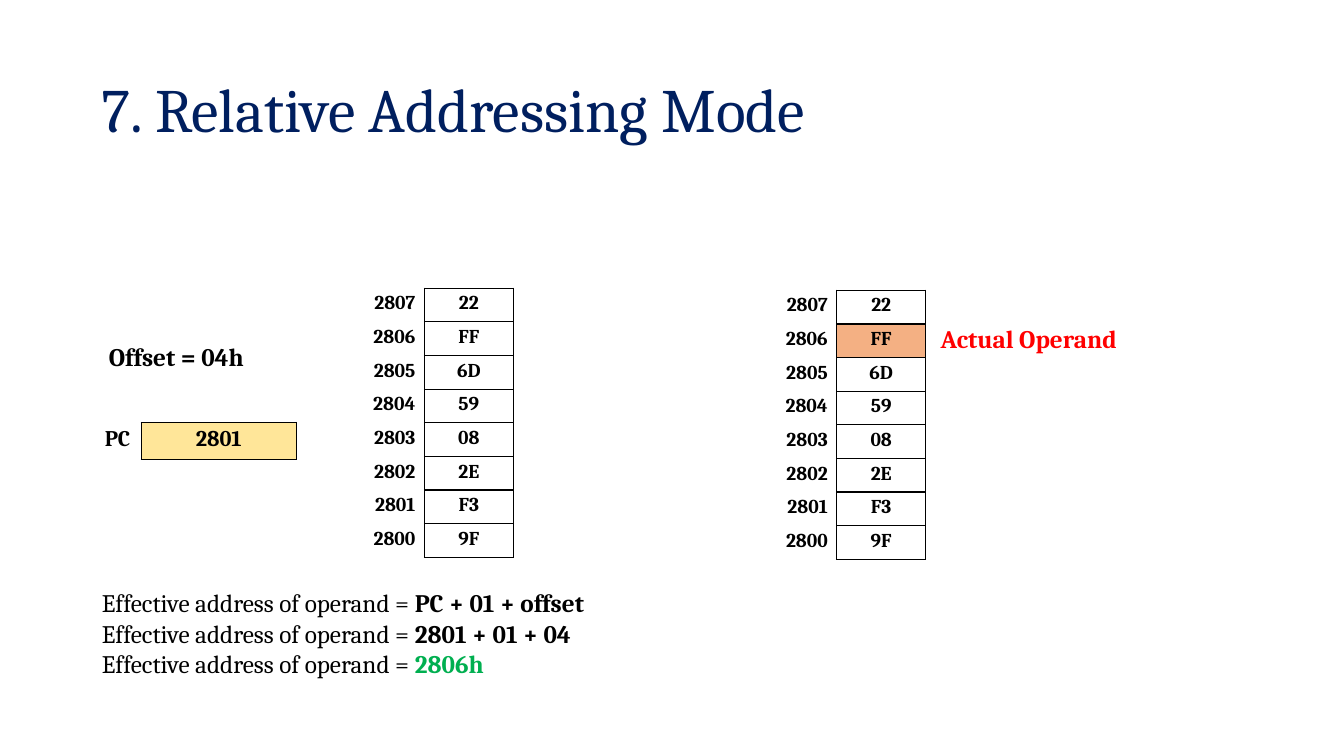
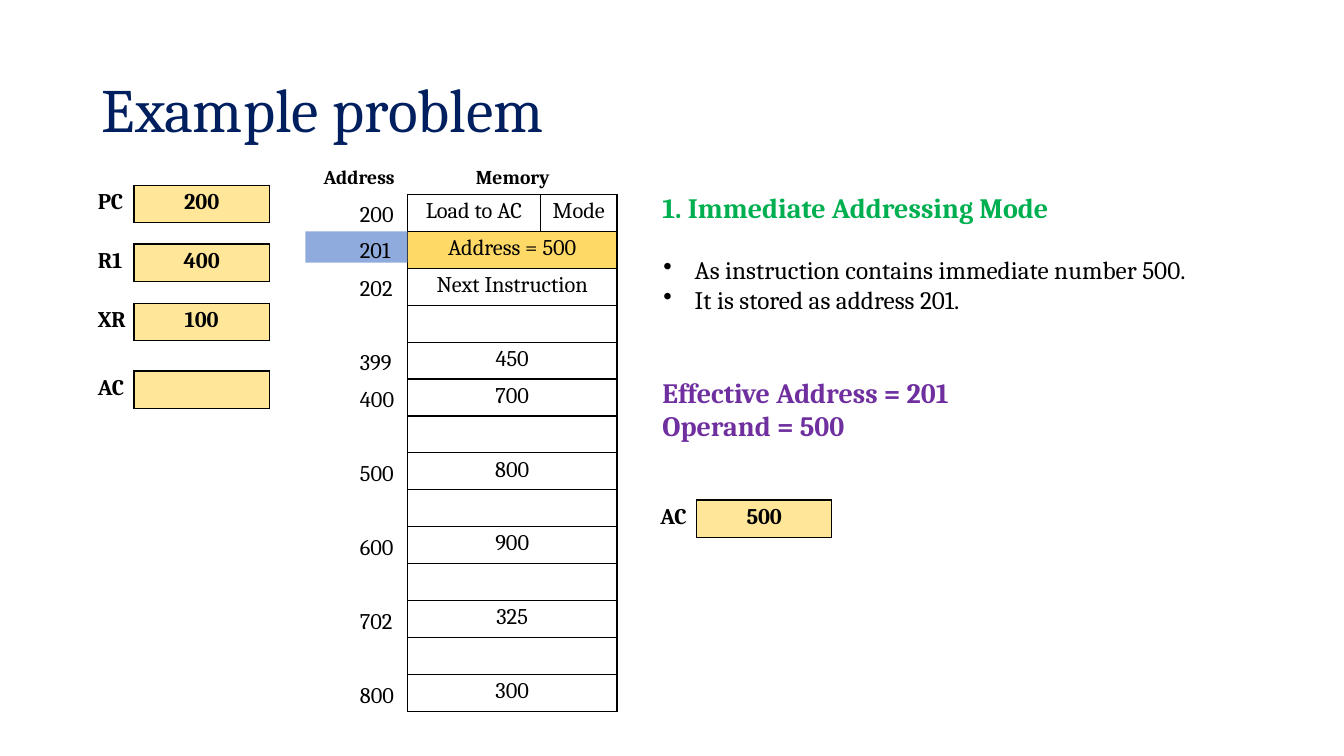
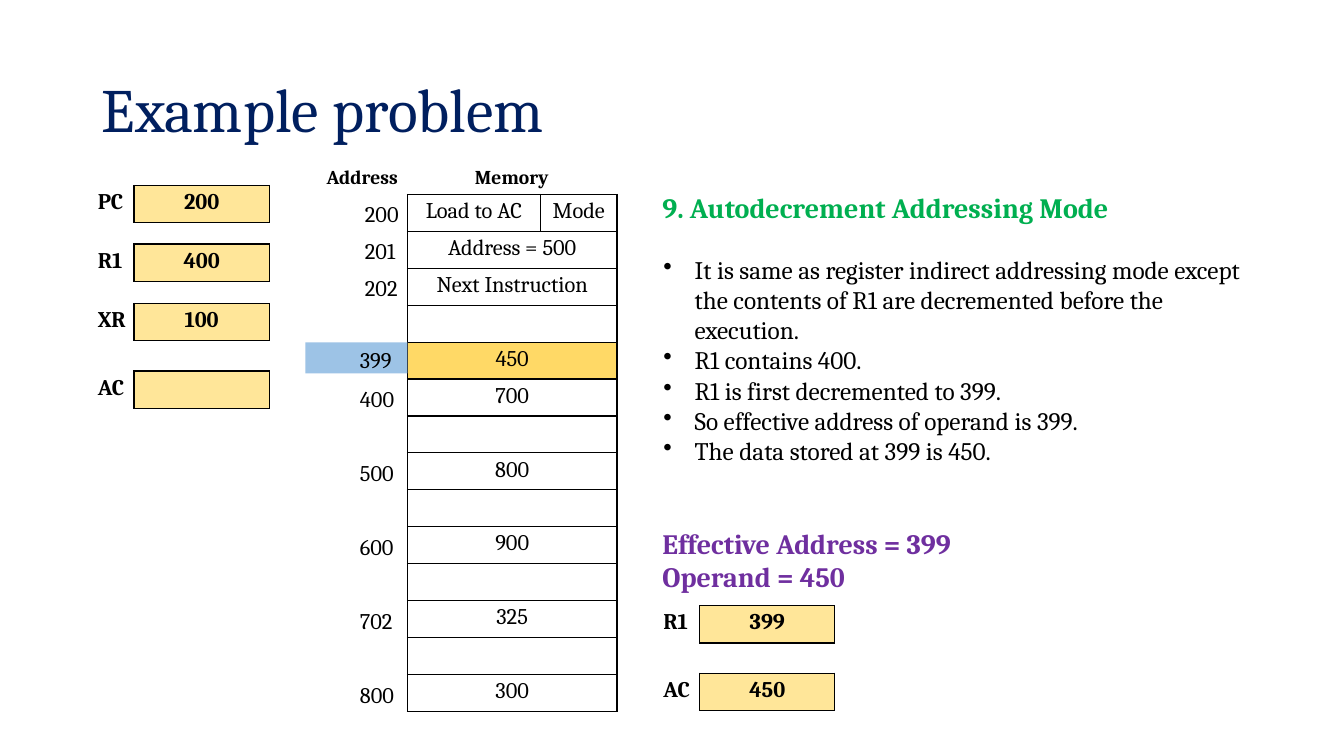
from pptx import Presentation
from pptx.dml.color import RGBColor
from pptx.enum.shapes import MSO_SHAPE
from pptx.enum.text import PP_ALIGN
from pptx.oxml.ns import qn
from pptx.util import Inches, Pt
from lxml import etree

RECT = MSO_SHAPE.RECTANGLE
LEFT, CENTER, RIGHT = PP_ALIGN.LEFT, PP_ALIGN.CENTER, PP_ALIGN.RIGHT

FONT = "Cambria"
COLORS = {
    "title": "001F5F",
    "text": "000000",
    "green": "00AF50",
    "purple": "6F2F9F",
    "red": "FF0000",
    "register": "FFE699",
    "operand": "F4B083",
    "memory": "FFD966",
    "blue": "8FAADC",
    "sky": "9DC3E6",
}

WORDS = [("2807", "22"), ("2806", "FF"), ("2805", "6D"), ("2804", "59"),
         ("2803", "08"), ("2802", "2E"), ("2801", "F3"), ("2800", "9F")]
WORD_TABLES = [(3.51, 2.86, None), (7.6, 2.88, "2806")]

FORMULA = "Effective address of operand = "
RESULTS = [("PC + 01 + offset", "text"), ("2801 + 01 + 04", "text"), ("2806h", "green")]

REGISTERS = [("PC", "200", 1.84), ("R1", "400", 2.42), ("XR", "100", 3.01), ("AC", "", 3.68)]

MEMORY = [("200", "Load to AC"), ("201", "Address = 500"), ("202", "Next Instruction"),
          ("", ""), ("399", "450"), ("400", "700"), ("", ""), ("500", "800"), ("", ""),
          ("600", "900"), ("", ""), ("702", "325"), ("", ""), ("800", "300")]
MEMORY_LEFT, MEMORY_TOP, MEMORY_HEIGHT = 4.04, 1.93, 5.13
ROW_HEIGHT = MEMORY_HEIGHT / len(MEMORY)
LABEL_LEFT, LABEL_INDENT = 3.03, 0.54

EXAMPLES = [
    {
        "mode": "1. Immediate Addressing Mode",
        "points": ["As instruction contains immediate number 500.",
                   "It is stored as address 201."],
        "answer": ["Effective Address = 201", "Operand = 500"],
        "answer_top": 3.72,
        "results": [("AC", "500", 6.41, 4.96)],
        "active": "201",
        "mark": "blue",
        "heads": (3.21, 4.72),
        "shifted": [],
    },
    {
        "mode": "9. Autodecrement Addressing Mode",
        "points": ["It is same as register indirect addressing mode except the contents "
                   "of R1 are decremented before the execution.",
                   "R1 contains 400.",
                   "R1 is first decremented to 399.",
                   "So effective address of operand is 399.",
                   "The data stored at 399 is 450."],
        "answer": ["Effective Address = 399", "Operand = 450"],
        "answer_top": 5.22,
        "results": [("R1", "399", 6.44, 6.01), ("AC", "450", 6.44, 6.68)],
        "active": "399",
        "mark": "sky",
        "heads": (3.24, 4.71),
        "shifted": ["200", "201", "202"],
    },
]


def rgb(name):
    return RGBColor.from_string(COLORS[name])


def style(font, size, color="text", bold=False):
    font.name, font.size, font.bold = FONT, Pt(size), bold
    font.color.rgb = rgb(color)


def add_bullet(p):
    pPr = p._p.get_or_add_pPr()
    pPr.set("marL", str(Inches(0.32)))
    pPr.set("indent", str(-Inches(0.31)))
    bullet = etree.Element(qn("a:buChar"), char="•")
    pPr.insert(0, bullet)


def set_margins(obj, left=0, top=0, right=0):
    obj.margin_left, obj.margin_top = Inches(left), Inches(top)
    obj.margin_right, obj.margin_bottom = Inches(right), 0


def add_text(s, left, top, width, height, paragraphs, size,
             color="text", bold=False, bullets=False):
    sp = s.shapes.add_textbox(Inches(left), Inches(top), Inches(width), Inches(height))
    tf = sp.text_frame
    tf.word_wrap = True
    set_margins(tf)
    for i, runs in enumerate(paragraphs):
        p = tf.add_paragraph() if i else tf.paragraphs[0]
        if bullets:
            add_bullet(p)
        style(p.font, size, color, bold)
        if isinstance(runs, str):
            p.add_run().text = runs
            continue
        for text, run_color, run_bold in runs:
            r = p.add_run()
            r.text = text
            style(r.font, size, run_color, run_bold)


def add_grid(s, left, top, widths, row_height, rows):
    frame = s.shapes.add_table(rows, len(widths), Inches(left), Inches(top),
                               Inches(sum(widths)), Inches(row_height * rows))
    table = frame.table
    table.first_row = table.horz_banding = False
    for column, width in zip(table.columns, widths):
        column.width = Inches(width)
    for row in table.rows:
        row.height = Inches(row_height)
    return table


def set_cell(cell, text, size, align=CENTER, bold=False, fill=None, sides="LRTB",
             left=0, right=0):
    tcPr = cell._tc.get_or_add_tcPr()
    for side in "LRTB":
        ln = etree.SubElement(tcPr, qn("a:ln" + side), w=str(Pt(1)))
        if side in sides:
            solid = etree.SubElement(ln, qn("a:solidFill"))
            etree.SubElement(solid, qn("a:srgbClr"), val=COLORS["text"])
        else:
            etree.SubElement(ln, qn("a:noFill"))
    if fill:
        cell.fill.solid()
        cell.fill.fore_color.rgb = rgb(fill)
    else:
        cell.fill.background()
    set_margins(cell, left, 0.04, right)
    p = cell.text_frame.paragraphs[0]
    p.alignment = align
    style(p.font, size, bold=bold)
    if text:
        p.add_run().text = text


def add_register(s, name, value, left, top, width=1.34):
    table = add_grid(s, left, top, (0.5, width), 0.37, 1)
    set_cell(table.cell(0, 0), name, 16, LEFT, True, sides="R", left=0.14)
    set_cell(table.cell(0, 1), value, 16, bold=True, fill="register")


def add_words(s, left, top, active):
    table = add_grid(s, left, top, (0.7, 0.88), 2.67 / len(WORDS), len(WORDS))
    for i, (address, word) in enumerate(WORDS):
        set_cell(table.cell(i, 0), address, 14, RIGHT, True, sides="R", right=0.09)
        set_cell(table.cell(i, 1), word, 14, bold=True,
                 fill="operand" if address == active else None)


def add_marked_address(s, address, top, color):
    sp = s.shapes.add_shape(RECT, Inches(LABEL_LEFT), Inches(top), Inches(1.01), Inches(0.31))
    sp.shadow.inherit = False
    sp.fill.solid()
    sp.fill.fore_color.rgb = rgb(color)
    sp.line.fill.background()
    tf = sp.text_frame
    set_margins(tf, LABEL_INDENT, 0.04)
    p = tf.paragraphs[0]
    p.alignment = LEFT
    style(p.font, 16)
    p.add_run().text = address


def add_memory(s, active, mark, shifted):
    table = add_grid(s, MEMORY_LEFT, MEMORY_TOP, (1.32, 0.76), ROW_HEIGHT, len(MEMORY))
    for i, (address, content) in enumerate(MEMORY):
        fill = "memory" if address == active else None
        first, second = table.cell(i, 0), table.cell(i, 1)
        if i:
            first.merge(second)
        set_cell(first, content, 16, fill=fill)
        set_cell(second, "" if i else "Mode", 16, fill=fill)
        top = MEMORY_TOP + i * ROW_HEIGHT
        if address == active:
            add_marked_address(s, address, top, mark)
        elif address:
            left = LABEL_LEFT + LABEL_INDENT + (0.05 if address in shifted else 0)
            add_text(s, left, top + 0.06, 0.42, 0.28, [address], 16)


def add_slide(prs, title):
    s = prs.slides.add_slide(prs.slide_layouts[6])
    add_text(s, 1.01, 0.7, 9, 0.76, [title], 44, "title")
    return s


def build_relative(prs):
    s = add_slide(prs, "7. Relative Addressing Mode")
    for left, top, active in WORD_TABLES:
        add_words(s, left, top, active)
    add_register(s, "PC", "2801", 0.9, 4.19, 1.54)
    add_text(s, 1.08, 3.39, 1.6, 0.32, ["Offset = 04h"], 18, bold=True)
    add_text(s, 9.33, 3.21, 2, 0.32, ["Actual Operand"], 18, "red", True)
    lines = [[(FORMULA, "text", False), (result, color, True)] for result, color in RESULTS]
    add_text(s, 1.01, 5.83, 5.2, 0.92, lines, 18)


def build_example(prs, example):
    s = add_slide(prs, "Example problem")
    for left, head in zip(example["heads"], ("Address", "Memory")):
        add_text(s, left, 1.64, 0.85, 0.25, [head], 14, bold=True)
    add_memory(s, example["active"], example["mark"], example["shifted"])
    for name, value, top in REGISTERS:
        add_register(s, name, value, 0.83, top)
    add_text(s, 6.57, 1.89, 5, 0.35, [example["mode"]], 20, "green", True)
    add_text(s, 6.57, 2.52, 5.95, 0.3 * len(example["points"]), example["points"], 18,
             bullets=True)
    add_text(s, 6.57, example["answer_top"], 3.2, 0.69, example["answer"], 20, "purple", True)
    for name, value, left, top in example["results"]:
        add_register(s, name, value, left, top)


def main():
    prs = Presentation()
    prs.slide_width, prs.slide_height = Inches(13.33), Inches(7.5)
    build_relative(prs)
    for example in EXAMPLES:
        build_example(prs, example)
    prs.save("out.pptx")


if __name__ == "__main__":
    main()
